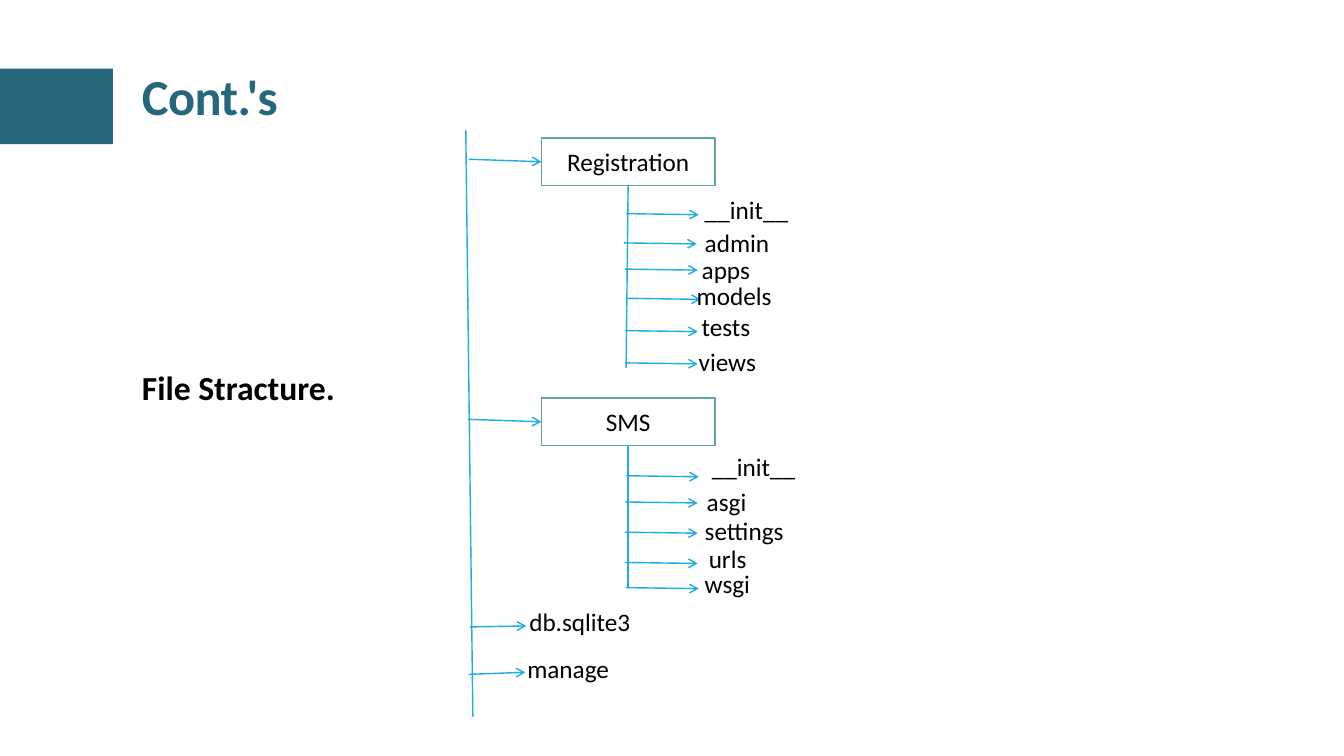
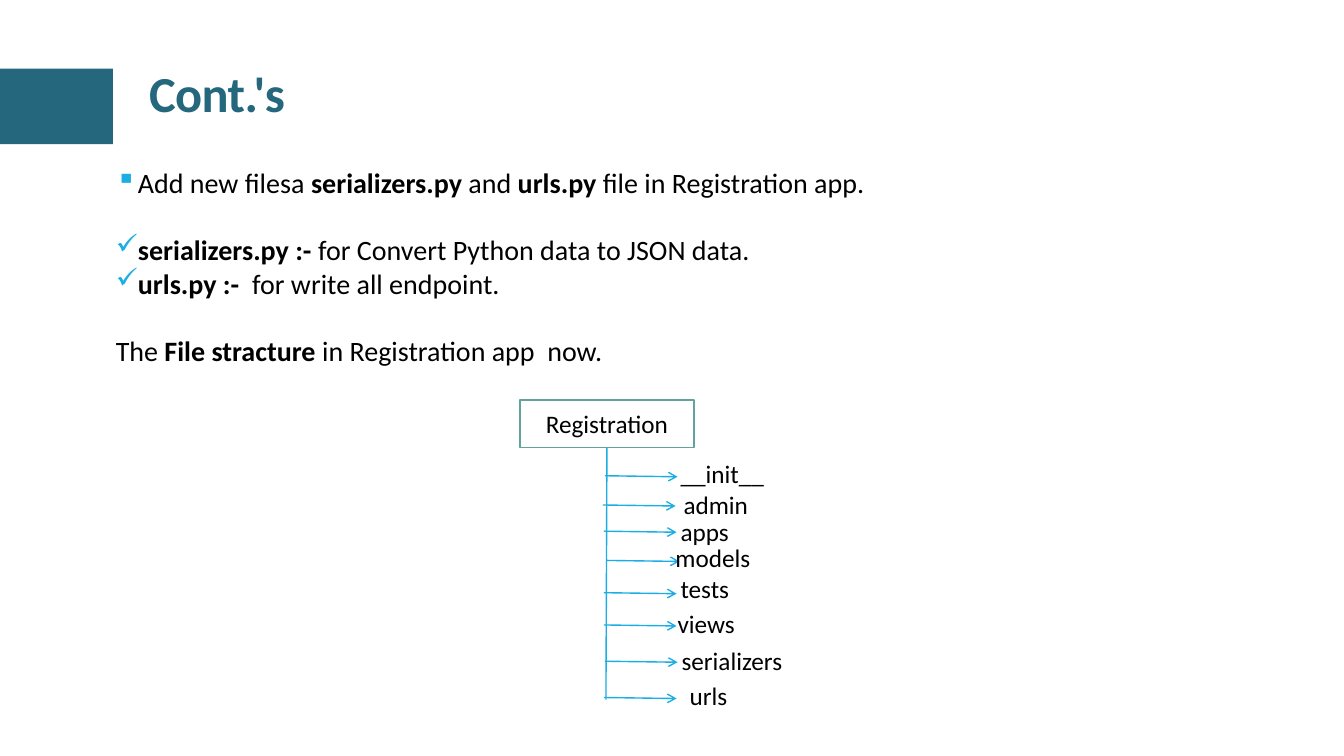
from lxml.etree import SubElement
from pptx import Presentation
from pptx.dml.color import RGBColor
from pptx.enum.shapes import MSO_CONNECTOR, MSO_SHAPE
from pptx.enum.text import MSO_ANCHOR, PP_ALIGN
from pptx.oxml.ns import qn
from pptx.util import Inches, Pt

TEAL = RGBColor(0x25, 0x67, 0x7D)
BLUE = RGBColor(0x1C, 0xAD, 0xE4)
GREEN = RGBColor(0x62, 0xA3, 0x9F)
WHITE = RGBColor(0xFF, 0xFF, 0xFF)
BLACK = RGBColor(0, 0, 0)
FONT = "Calibri"

BOX_WIDTH, BOX_HEIGHT = 1.72, 0.47
BRANCH_LENGTH, BRANCH_DROP = 0.72, 0.01
TOP, LEFT, BOTTOM = 0, 1, 2

# Each file: label, branch start and label corner, measured from its app box.
APP_FILES = [
    ("admin", (0.82, 1.04), (1.62, 0.84)),
    ("apps", (0.83, 1.3), (1.59, 1.1)),
    ("models", (0.86, 1.59), (1.54, 1.36)),
    ("tests", (0.83, 1.91), (1.59, 1.67)),
    ("views", (0.83, 2.23), (1.56, 2.02)),
]
REGISTRATION_FILES = [("__init__", (0.84, 0.75), (1.62, 0.51))] + APP_FILES
EXTENDED_FILES = [("__init__", (0.84, 0.75), (1.59, 0.53))] + APP_FILES + [
    ("serializers", (0.84, 2.59), (1.6, 2.38)),
    ("urls", (0.83, 2.95), (1.68, 2.73)),
]
SMS_FILES = [
    ("__init__", (0.84, 0.77), (1.69, 0.48)),
    ("asgi", (0.83, 1.03), (1.64, 0.83)),
    ("settings", (0.83, 1.33), (1.62, 1.11)),
    ("urls", (0.83, 1.63), (1.66, 1.39)),
    ("wsgi", (0.84, 1.88), (1.62, 1.64)),
]
ROOT_FILES = [
    ("db.sqlite3", (4.66, 6.22), (5.22, 6.21), (5.25, 5.97)),
    ("manage", (4.65, 6.69), (5.21, 6.67), (5.23, 6.43)),
]
BODY = [
    ("▪", 0, [("Add new filesa ", False), ("serializers.py", True), (" and ", False),
              ("urls.py", True), (" file in Registration app.", False)]),
    ("✓", 24, [("serializers.py :-", True),
               (" for Convert Python data to JSON data.", False)]),
    ("✓", 0, [("urls.py :- ", True), (" for write all endpoint.", False)]),
    (None, 24, [("The ", False), ("File stracture", True),
                (" in Registration app  now.", False)]),
]


def add_run(paragraph, text, size, color=BLACK, bold=False):
    run = paragraph.add_run()
    run.text = text
    run.font.name = FONT
    run.font.size = Pt(size)
    run.font.color.rgb = color
    run.font.bold = bold
    return run


def add_text_frame(slide, left, top, width, height):
    frame = slide.shapes.add_textbox(
        Inches(left), Inches(top), Inches(width), Inches(height)).text_frame
    frame.word_wrap = True
    return frame


def add_rectangle(slide, left, top, width, height, fill):
    rectangle = slide.shapes.add_shape(
        MSO_SHAPE.RECTANGLE, Inches(left), Inches(top), Inches(width), Inches(height))
    rectangle.shadow.inherit = False
    rectangle.fill.solid()
    rectangle.fill.fore_color.rgb = fill
    rectangle.line.fill.background()
    return rectangle


def add_line(slide, start, end, arrow=False):
    line = slide.shapes.add_connector(
        MSO_CONNECTOR.STRAIGHT, *(Inches(value) for value in (*start, *end)))
    line.line.color.rgb = BLUE
    line.line.width = Pt(1)
    if arrow:
        SubElement(line.line._get_or_add_ln(), qn("a:tailEnd"), type="arrow")
    SubElement(line.element.spPr, qn("a:effectLst"))
    return line


def add_heading(slide, left, top, text, size, color):
    paragraph = add_text_frame(slide, left, top, 10.27, 0.7).paragraphs[0]
    paragraph.line_spacing = 0.9
    return add_run(paragraph, text, size, color, True)


def add_titled_slide(deck, left, top):
    slide = deck.slides.add_slide(deck.slide_layouts[6])
    add_rectangle(slide, -0.01, 0.68, 1.13, 0.75, TEAL)
    title = add_heading(slide, left, top, "Cont.'s", 36, TEAL)
    title.font._element.set("spc", "-40")
    return slide


def add_file_label(slide, left, top, text):
    frame = add_text_frame(slide, left, top, 1.3, 0.4)
    frame.margin_left = 0
    add_run(frame.paragraphs[0], text, 18)


def add_app_tree(slide, left, top, name, files, trunk_end):
    box = add_rectangle(slide, left, top, BOX_WIDTH, BOX_HEIGHT, WHITE)
    box.line.color.rgb = GREEN
    box.line.width = Pt(1.25)
    box.text_frame.vertical_anchor = MSO_ANCHOR.MIDDLE
    heading = box.text_frame.paragraphs[0]
    heading.alignment = PP_ALIGN.CENTER
    add_run(heading, name, 18)

    trunk = add_line(slide, (left + BOX_WIDTH / 2, top + BOX_HEIGHT),
                     (left + trunk_end[0], top + trunk_end[1]))
    trunk.begin_connect(box, BOTTOM)
    for label, (branch_x, branch_y), (label_x, label_y) in files:
        x, y = left + branch_x, top + branch_y
        add_line(slide, (x, y), (x + BRANCH_LENGTH, y + BRANCH_DROP), arrow=True)
        add_file_label(slide, left + label_x, top + label_y, label)
    return box


def add_body(slide):
    frame = add_text_frame(slide, 1.05, 1.59, 11.24, 2.2)
    for index, (bullet, gap, runs) in enumerate(BODY):
        paragraph = frame.add_paragraph() if index else frame.paragraphs[0]
        paragraph.space_before = Pt(gap)
        if bullet:
            properties = paragraph._p.get_or_add_pPr()
            properties.set("marL", str(Inches(0.22)))
            properties.set("indent", str(-Inches(0.22)))
            bullet_color = SubElement(properties, qn("a:buClr"))
            SubElement(bullet_color, qn("a:srgbClr"), val=str(BLUE))
            SubElement(properties, qn("a:buChar"), char=bullet)
        for text, bold in runs:
            add_run(paragraph, text, 20, bold=bold)


def build_project_slide(deck):
    slide = add_titled_slide(deck, 1.31, 0.67)
    add_heading(slide, 1.31, 3.64, "File Stracture.", 24, BLACK)
    add_line(slide, (4.62, 1.29), (4.69, 7.11))
    apps = [
        ("Registration", 1.37, REGISTRATION_FILES, (0.84, 2.28), (4.65, 1.58)),
        ("SMS", 3.95, SMS_FILES, (0.86, 1.88), (4.64, 4.16)),
    ]
    for name, top, files, trunk_end, branch_start in apps:
        box = add_app_tree(slide, 5.37, top, name, files, trunk_end)
        branch = add_line(slide, branch_start, (5.37, top + BOX_HEIGHT / 2), arrow=True)
        branch.end_connect(box, LEFT)
    for label, start, end, corner in ROOT_FILES:
        add_line(slide, start, end, arrow=True)
        add_file_label(slide, *corner, label)


def build_registration_slide(deck):
    slide = add_titled_slide(deck, 1.38, 0.64)
    add_body(slide)
    add_app_tree(slide, 5.16, 3.97, "Registration", EXTENDED_FILES, (0.85, 2.97))


def main():
    deck = Presentation()
    deck.slide_width = Inches(13.33)
    deck.slide_height = Inches(7.5)
    build_project_slide(deck)
    build_registration_slide(deck)
    deck.save("out.pptx")


if __name__ == "__main__":
    main()
